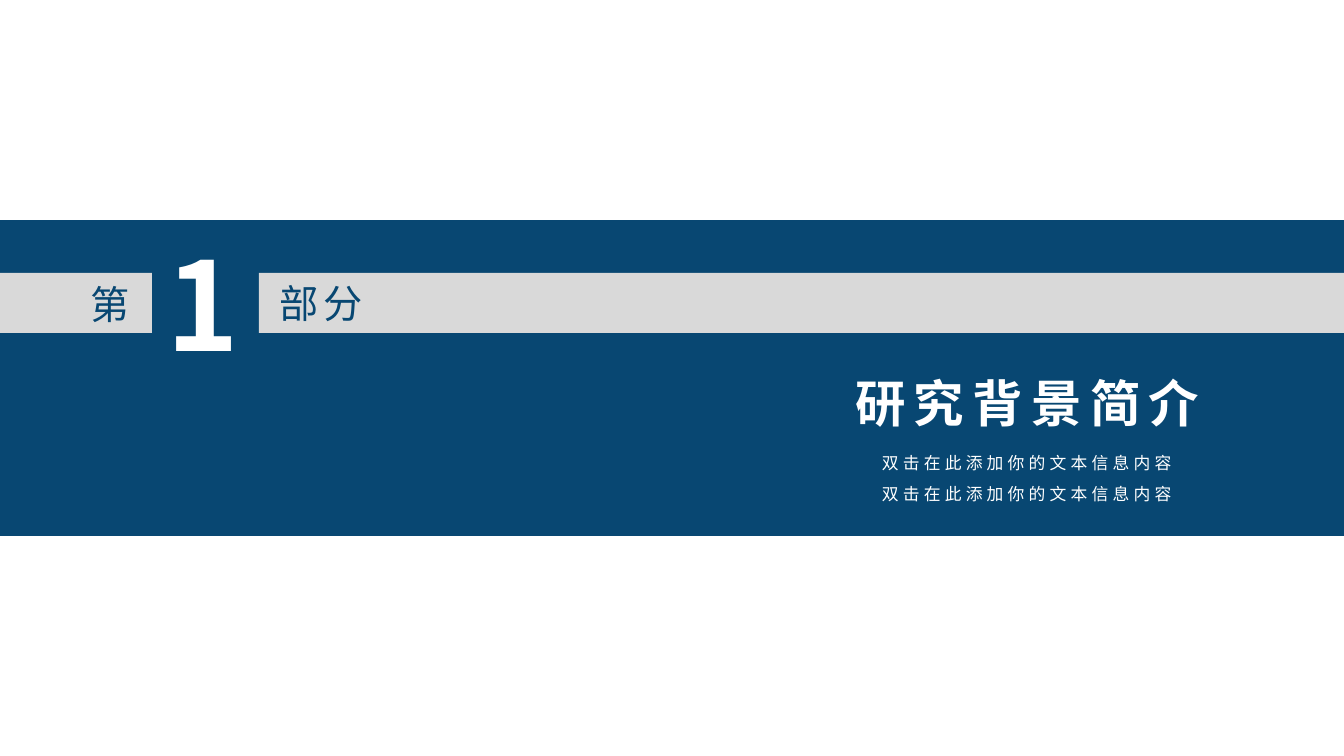
from dataclasses import dataclass

from lxml.etree import SubElement
from pptx import Presentation
from pptx.dml.color import RGBColor
from pptx.enum.shapes import MSO_SHAPE
from pptx.enum.text import MSO_ANCHOR, MSO_AUTO_SIZE, PP_ALIGN
from pptx.oxml.ns import qn
from pptx.util import Pt

PX = 914400 / 100.8
SLIDE_W, SLIDE_H = 1344, 756


@dataclass(frozen=True)
class Theme:
    font: str = "Noto Sans CJK SC"
    navy: str = "084772"
    grey: str = "D9D9D9"
    white: str = "FFFFFF"
    number: int = 88
    title: int = 36
    label: int = 28
    body: int = 12


THEME = Theme()


def px(*lengths):
    return [round(n * PX) for n in lengths]


def add_bar(s, box, color):
    sp = s.shapes.add_shape(MSO_SHAPE.RECTANGLE, *px(*box))
    sp.shadow.inherit = False
    sp.fill.solid()
    sp.fill.fore_color.rgb = RGBColor.from_string(color)
    sp.line.fill.background()
    return sp


def write(sp, text, *, size, color, bold=False, tracking=3, line_spacing=1.0):
    """Fill a shape with one left-aligned paragraph; tracking is in points."""
    tf = sp.text_frame
    tf.word_wrap = True
    tf.auto_size = MSO_AUTO_SIZE.NONE
    tf.vertical_anchor = MSO_ANCHOR.TOP
    p = tf.paragraphs[0]
    p.alignment = PP_ALIGN.LEFT
    p.line_spacing = line_spacing
    r = p.add_run()
    r.text = text
    r.font.size = Pt(size)
    r.font.bold = bold
    r.font.color.rgb = RGBColor.from_string(color)
    r.font.name = THEME.font
    rPr = r.font._element
    rPr.set("spc", str(tracking * 100))
    SubElement(rPr, qn("a:ea")).set("typeface", THEME.font)


def add_text(s, box, text, **fmt):
    write(s.shapes.add_textbox(*px(*box)), text, **fmt)


def part_strip(s, box, number):
    """Grey strip with a gap in which the large part number stands."""
    x, y, w, h = box
    gap_start, gap_end = 152, 259
    add_bar(s, (x + gap_end, y, w - gap_end, h), THEME.grey)
    add_bar(s, (x, y, gap_start, h), THEME.grey)
    label = dict(size=THEME.label, color=THEME.navy)
    add_text(s, (x + 81, y + 2, 84, 57), "第", **label)
    add_text(s, (x + gap_end + 11, y + 1, 125, 57), "部分", **label)
    add_text(s, (x + gap_start + 5, y - 50, 84, 159), number,
             size=THEME.number, color=THEME.white, bold=True)


def heading(s, box, title, body):
    x, y, w, h = box
    sp = s.shapes.title
    sp.left, sp.top, sp.width, sp.height = px(x, y, w, 72)
    write(sp, title, size=THEME.title, color=THEME.white, bold=True, tracking=6)
    add_text(s, (x + 27, y + 71, 324, h - 71), body,
             size=THEME.body, color=THEME.white, line_spacing=1.5)


def section_slide(prs, number, title, body):
    s = prs.slides.add_slide(prs.slide_layouts[5])
    top = 220
    band = add_bar(s, (0, top, SLIDE_W, 316), THEME.navy)
    s.shapes.title._element.addprevious(band._element)
    part_strip(s, (0, top + 53, SLIDE_W, 60), number)
    heading(s, (845, top + 147, 423, 173), title, body)


def main():
    prs = Presentation()
    prs.slide_width, prs.slide_height = px(SLIDE_W, SLIDE_H)
    section_slide(prs, "1", "研究背景简介", "双击在此添加你的文本信息内容" * 2)
    prs.save("out.pptx")


if __name__ == "__main__":
    main()
